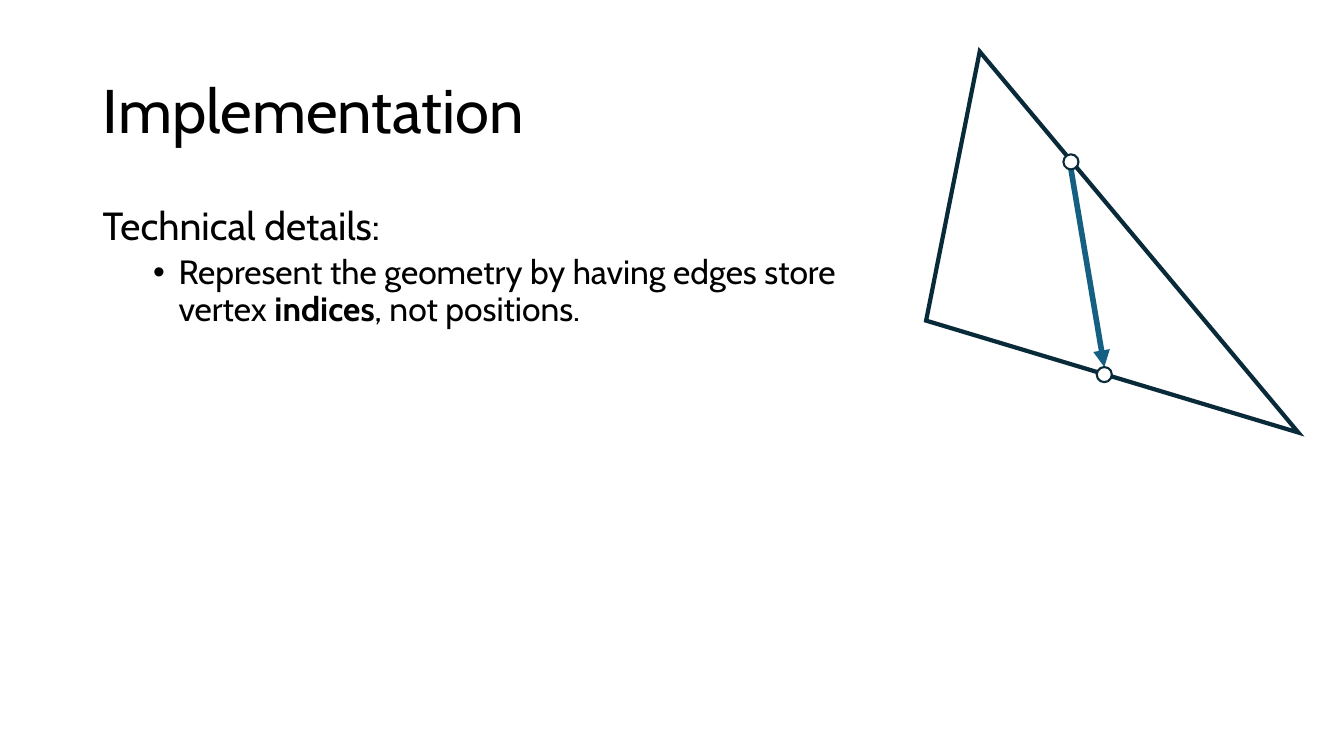
from typing import NamedTuple

from lxml.etree import SubElement
from pptx import Presentation
from pptx.dml.color import RGBColor
from pptx.enum.shapes import MSO_CONNECTOR, MSO_SHAPE
from pptx.enum.text import MSO_ANCHOR, MSO_AUTO_SIZE, PP_ALIGN
from pptx.oxml.ns import qn
from pptx.util import Cm, Pt

FONT = "Cabin"
HUES = {"ink": "000000", "edge": "092A39", "arrow": "156082", "dot": "FFFFFF"}
RADIUS = 0.19


class Point(NamedTuple):
    x: float
    y: float


class Span(NamedTuple):
    text: str
    bold: bool = False


CORNERS = [Point(23.34, 8.08), Point(32.72, 10.9), Point(24.69, 1.3)]
START, END = Point(26.99, 4.08), Point(27.83, 9.44)


def hue(name: str) -> RGBColor:
    return RGBColor.from_string(HUES[name])


def place(shape, left: float, top: float, width: float, height: float) -> None:
    shape.left, shape.top = Cm(left), Cm(top)
    shape.width, shape.height = Cm(width), Cm(height)


def stroke(shape, name: str, width: float) -> None:
    shape.line.color.rgb = hue(name)
    shape.line.width = Pt(width)


def write(para, size: float, spans: list[Span]) -> None:
    para.alignment = PP_ALIGN.LEFT
    para.line_spacing = 0.9
    for span in spans:
        for index, piece in enumerate(span.text.split("\n")):
            if index:
                para.add_line_break()
            run = para.add_run()
            run.text = piece
            run.font.name = FONT
            run.font.size = Pt(size)
            run.font.bold = span.bold
            run.font.color.rgb = hue("ink")


def bullet(para) -> None:
    para.level = 1
    para.space_before = Pt(5)
    props = para._p.get_or_add_pPr()
    props.set("marL", str(Cm(1.91)))
    props.set("indent", str(Cm(-0.64)))
    SubElement(props, qn("a:buFont")).set("typeface", "Arial")
    SubElement(props, qn("a:buChar")).set("char", "•")


def outline(shapes, points: list[Point]) -> None:
    first, *rest = [(Cm(point.x), Cm(point.y)) for point in points]
    maker = shapes.build_freeform(*first)
    maker.add_line_segments(rest, close=True)
    shape = maker.convert_to_shape()
    shape.shadow.inherit = False
    shape.fill.background()
    stroke(shape, "edge", 3)
    SubElement(shape.line._get_or_add_ln(), qn("a:miter")).set("lim", "800000")


def arrow(shapes, start: Point, end: Point) -> None:
    line = shapes.add_connector(
        MSO_CONNECTOR.STRAIGHT,
        Cm(start.x), Cm(start.y + RADIUS), Cm(end.x), Cm(end.y - RADIUS),
    )
    stroke(line, "arrow", 4)
    SubElement(line.line._get_or_add_ln(), qn("a:tailEnd")).set("type", "triangle")
    SubElement(line._element.spPr, qn("a:effectLst"))


def dot(shapes, spot: Point) -> None:
    side = Cm(2 * RADIUS)
    shape = shapes.add_shape(
        MSO_SHAPE.OVAL, Cm(spot.x - RADIUS), Cm(spot.y - RADIUS), side, side
    )
    shape.shadow.inherit = False
    shape.fill.solid()
    shape.fill.fore_color.rgb = hue("dot")
    stroke(shape, "edge", 1.5)


def main() -> None:
    deck = Presentation()
    deck.slide_width, deck.slide_height = Cm(33.87), Cm(19.05)
    slide = deck.slides.add_slide(deck.slide_layouts[5])
    shapes = slide.shapes

    title = shapes.title
    place(title, 2.34, 1.02, 29.21, 3.68)
    title.text_frame.auto_size = MSO_AUTO_SIZE.NONE
    title.text_frame.vertical_anchor = MSO_ANCHOR.MIDDLE
    write(title.text_frame.paragraphs[0], 44, [Span("Implementation")])

    body = shapes.add_textbox(Cm(2.34), Cm(5.08), Cm(29.21), Cm(12.09))
    frame = body.text_frame
    frame.word_wrap = True
    write(frame.paragraphs[0], 28, [Span("Technical details:")])
    detail = frame.add_paragraph()
    bullet(detail)
    write(detail, 24, [
        Span("Represent the geometry by having edges store\nvertex "),
        Span("indices", True),
        Span(", not positions."),
    ])

    outline(shapes, CORNERS)
    arrow(shapes, START, END)
    for spot in (END, START):
        dot(shapes, spot)

    deck.save("out.pptx")


if __name__ == "__main__":
    main()
